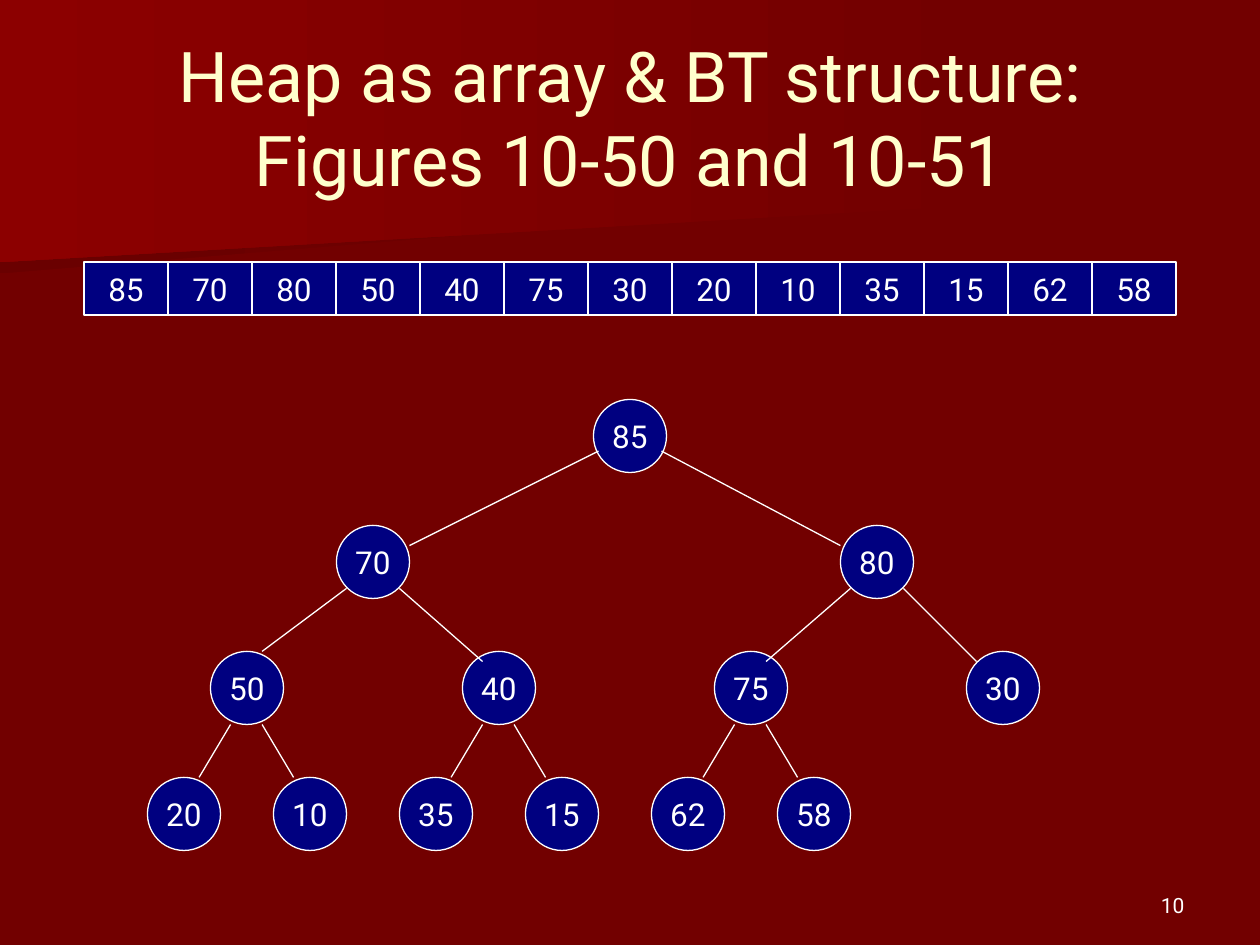
from lxml.etree import SubElement
from pptx import Presentation
from pptx.dml.color import RGBColor
from pptx.enum.shapes import MSO_CONNECTOR as Connector, MSO_SHAPE as Shape
from pptx.enum.text import MSO_ANCHOR as Anchor, PP_ALIGN as Align
from pptx.oxml.ns import qn
from pptx.util import Inches, Pt

COLORS = {
    "background": "720000",
    "band_shade": "6A0000",
    "band_light": "8C0000",
    "title": "FFFFCC",
    "node": "000080",
    "white": "FFFFFF",
}
FONT = "Roboto"
HEAP = [85, 70, 80, 50, 40, 75, 30, 20, 10, 35, 15, 62, 58]
NODE_SIZE = 0.58
UPPER_EDGES = [
    ((4.75, 3.58), (3.25, 4.33)),
    ((5.25, 3.58), (6.67, 4.33)),
    ((2.75, 4.67), (2.08, 5.17)),
    ((3.17, 4.67), (3.83, 5.25)),
    ((6.75, 4.67), (6.08, 5.25)),
    ((7.17, 4.67), (7.75, 5.25)),
]
SHADE_BAND = [(7.78, 1.53), (0, 2.17), (0, 1.01), (7.79, 1.01), (7.78, 1.28)]
LIGHT_BAND = [(7.92, 1.62), (0, 2.08), (0, 0), (7.92, 0)]


def rgb(name):
    return RGBColor.from_string(COLORS[name])


def write(frame, text, size, color, align, anchor):
    frame.text = text
    frame.vertical_anchor = anchor
    paragraph = frame.paragraphs[0]
    paragraph.alignment = align
    font = paragraph.runs[0].font
    font.name = FONT
    font.size = Pt(size)
    font.color.rgb = rgb(color)


def add_band(slide, points, color):
    corners = [(Inches(x), Inches(y)) for x, y in points]
    builder = slide.shapes.build_freeform(*corners[0], scale=1.0)
    builder.add_line_segments(corners[1:], close=True)
    band = builder.convert_to_shape()
    band.shadow.inherit = False
    band.line.fill.background()
    band.fill.gradient()
    band.fill.gradient_angle = 180
    for stop, name in zip(band.fill.gradient_stops, ("background", color)):
        stop.color.rgb = rgb(name)
    slide.shapes.title._element.addprevious(band._element)


def add_title(slide, text):
    title = slide.shapes.title
    title.left, title.top = Inches(0.5), Inches(0.3)
    title.width, title.height = Inches(9), Inches(1.25)
    write(title.text_frame, text, 40, "title", Align.CENTER, Anchor.MIDDLE)


def add_value(slide, kind, value, left, top, width, height):
    box = slide.shapes.add_shape(
        kind, Inches(left), Inches(top), Inches(width), Inches(height))
    box.shadow.inherit = False
    box.fill.solid()
    box.fill.fore_color.rgb = rgb("node")
    box.line.color.rgb = rgb("white")
    box.line.width = Pt(0.75)
    box.text_frame.word_wrap = False
    write(box.text_frame, str(value), 18, "white", Align.CENTER, Anchor.MIDDLE)


def add_edge(slide, start, end):
    edge = slide.shapes.add_connector(
        Connector.STRAIGHT, *(Inches(v) for v in (*start, *end)))
    edge.line.color.rgb = rgb("white")
    edge.line.width = Pt(0.75)
    SubElement(edge._element.spPr, qn("a:effectLst"))


def add_array(slide):
    width = 2 / 3
    for index, value in enumerate(HEAP):
        add_value(slide, Shape.RECTANGLE, value, width * (index + 1), 2.08, width, 0.42)


def add_tree(slide):
    for index, value in enumerate(HEAP):
        level = (index + 1).bit_length() - 1
        position = index + 1 - 2 ** level
        spacing = 8 / 2 ** level
        left = 0.67 + spacing * (position + 0.5) if level else (10 - NODE_SIZE) / 2
        add_value(slide, Shape.OVAL, value, left, 3.17 + level, NODE_SIZE, NODE_SIZE)
    for start, end in UPPER_EDGES:
        add_edge(slide, start, end)
    for parent in range(3):
        x = 1.83 + 2 * parent
        add_edge(slide, (x, 5.75), (x - 0.25, 6.17))
        add_edge(slide, (x + 0.25, 5.75), (x + 0.5, 6.17))


def add_page_number(slide, number):
    box = slide.shapes.add_textbox(
        Inches(7.17), Inches(6.83), Inches(2.33), Inches(0.5))
    box.text_frame.word_wrap = True
    write(box.text_frame, number, 12, "white", Align.RIGHT, Anchor.BOTTOM)


def main():
    deck = Presentation()
    deck.slide_width, deck.slide_height = Inches(10), Inches(7.5)
    slide = deck.slides.add_slide(deck.slide_layouts[5])
    slide.background.fill.solid()
    slide.background.fill.fore_color.rgb = rgb("background")
    add_band(slide, SHADE_BAND, "band_shade")
    add_band(slide, LIGHT_BAND, "band_light")
    add_title(slide, "Heap as array & BT structure: Figures 10-50 and 10-51")
    add_array(slide)
    add_tree(slide)
    add_page_number(slide, "10")
    deck.save("out.pptx")


if __name__ == "__main__":
    main()
